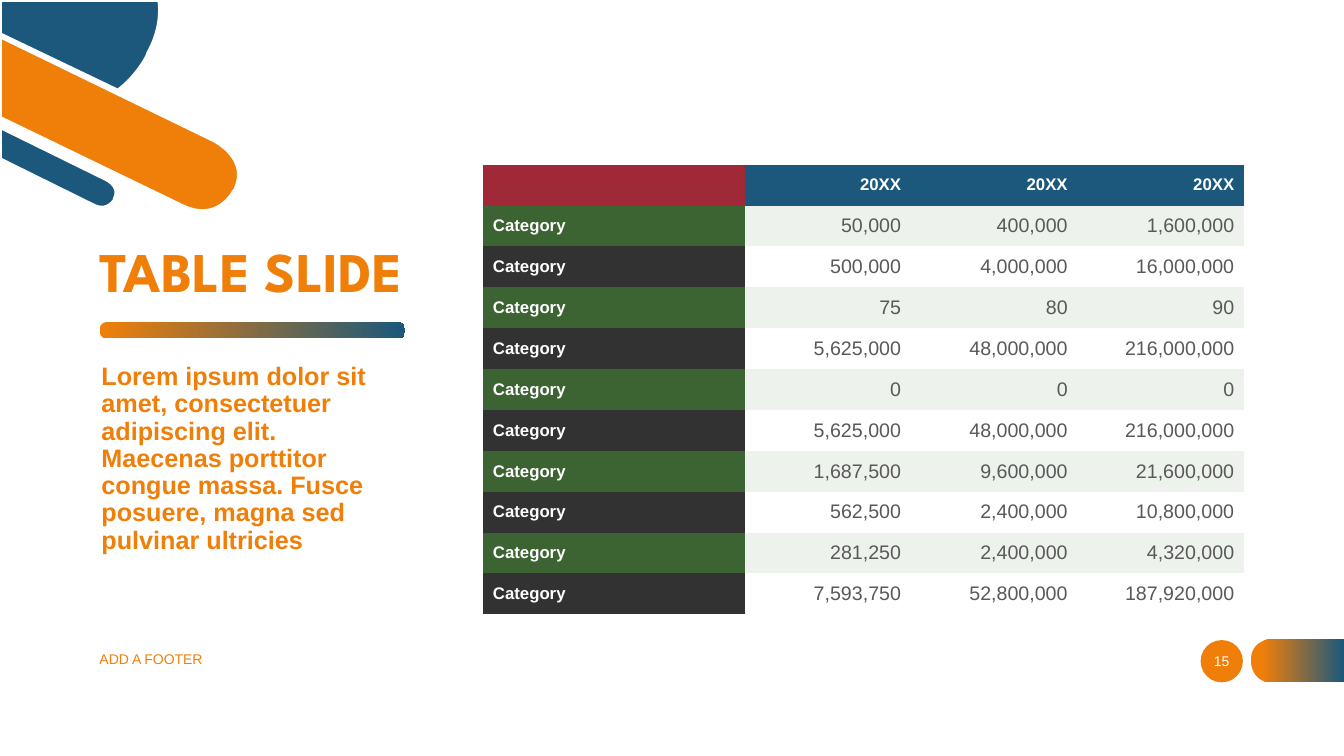
from pptx import Presentation
from pptx.dml.color import RGBColor
from pptx.enum.shapes import MSO_SHAPE as Shape
from pptx.enum.text import MSO_ANCHOR as Anchor, PP_ALIGN as Align
from pptx.oxml.ns import qn
from pptx.util import Pt

ORANGE, BLUE, WHITE = "F07F09", "1B587C", "FFFFFF"
RED, GREEN, CHARCOAL = "9F2936", "3B6432", "323232"
PALE_GREEN, GRAY = "EDF3EC", "595959"
NO_STYLE = "{2D5ABB26-0587-4C30-8999-92F81FD0307C}"
CURVE_STEPS = 16

DISC = [(105.1, 40.3), (105.1, 40.3, 97.9, 54.7, 84.2, 64.8), (0, 24.5), (0, 0),
        (113.8, 0), (115.2, 10.8, 113.8, 23.8, 105.8, 38.2)]
THIN_BAR = [(0, 90.7), (76.3, 128.2), (76.3, 128.2, 86.4, 133.2, 82.1, 141.8),
            (82.1, 142.6), (82.1, 142.6, 77, 151.9, 67, 146.9), (0, 113.8)]
WIDE_BAR = [(0, 25.9), (152.6, 100.1), (152.6, 100.1, 179.3, 113, 167.8, 136.1),
            (167, 136.8), (167, 136.8, 155.5, 159.8, 129.6, 146.9), (0, 84.2)]

YEARS = ["20XX"] * 3
FIGURES = [
    ("50,000", "400,000", "1,600,000"),
    ("500,000", "4,000,000", "16,000,000"),
    ("75", "80", "90"),
    ("5,625,000", "48,000,000", "216,000,000"),
    ("0", "0", "0"),
    ("5,625,000", "48,000,000", "216,000,000"),
    ("1,687,500", "9,600,000", "21,600,000"),
    ("562,500", "2,400,000", "10,800,000"),
    ("281,250", "2,400,000", "4,320,000"),
    ("7,593,750", "52,800,000", "187,920,000"),
]


def color(hex_code):
    """Turn a hex string into a color."""
    return RGBColor.from_string(hex_code)


def paint(shape, fill, line=None):
    """Fill a shape flat and outline it if a line color is given."""
    shape.shadow.inherit = False
    shape.fill.solid()
    shape.fill.fore_color.rgb = color(fill)
    if line:
        shape.line.color.rgb = color(line)
        shape.line.width = Pt(2.75)
    else:
        shape.line.fill.background()


def fade(shape, start=0):
    """Fade a shape from orange on the left to blue on the right."""
    paint(shape, ORANGE)
    shape.fill.gradient()
    shape.fill.gradient_angle = 0
    for stop, hue, position in zip(shape.fill.gradient_stops, (ORANGE, BLUE), (start, 1)):
        stop.color.rgb = color(hue)
        stop.position = position


def flatten(path):
    """Turn line ends and cubic curves into a list of points."""
    points = [path[0]]
    for step in path[1:]:
        if len(step) == 2:
            points.append(step)
            continue
        knots = [points[-1], step[:2], step[2:4], step[4:]]
        for i in range(1, CURVE_STEPS + 1):
            t = i / CURVE_STEPS
            weights = ((1 - t) ** 3, 3 * t * (1 - t) ** 2, 3 * t * t * (1 - t), t ** 3)
            points.append(tuple(sum(w * knot[axis] for w, knot in zip(weights, knots))
                                for axis in (0, 1)))
    return points


def add_outline(slide, left, top, path):
    """Draw a closed path relative to a corner."""
    points = [(Pt(left + x), Pt(top + y)) for x, y in flatten(path)]
    builder = slide.shapes.build_freeform(*points[0])
    builder.add_line_segments(points[1:], close=True)
    return builder.convert_to_shape()


def style(frame, size, hue, bold=False, align=Align.LEFT, font="Arial"):
    """Format the only paragraph of a text frame."""
    paragraph = frame.paragraphs[0]
    paragraph.alignment = align
    for run in paragraph.runs:
        run.font.name, run.font.size, run.font.bold = font, Pt(size), bold
        run.font.color.rgb = color(hue)


def add_text(slide, box, text, size, hue, anchor=Anchor.TOP, spacing=None, **look):
    """Place a wrapped text in a box."""
    frame = slide.shapes.add_textbox(*map(Pt, box)).text_frame
    frame.word_wrap = True
    frame.vertical_anchor = anchor
    frame.text = text
    frame.paragraphs[0].line_spacing = spacing
    style(frame, size, hue, **look)


def add_corner(slide, left, top):
    """Draw the disc and the two slanted bars."""
    for path, fill in ((DISC, BLUE), (THIN_BAR, BLUE), (WIDE_BAR, ORANGE)):
        paint(add_outline(slide, left, top, path), fill, WHITE)


def add_intro(slide, left, top, width):
    """Place the title, the fading rule and the lead text."""
    add_text(slide, (left, top, width, 53.3), "TABLE SLIDE", 40, ORANGE,
             Anchor.BOTTOM, 0.9, bold=True, font="League Spartan")
    rule = slide.shapes.add_shape(Shape.ROUNDED_RECTANGLE, Pt(left + 7.2), Pt(top + 62.5),
                                  Pt(218), Pt(11.5))
    rule.adjustments[0] = 0.4
    fade(rule)
    add_text(slide, (left + 1.4, top + 88.6, 222.5, 145.4),
             "Lorem ipsum dolor sit amet, consectetuer adipiscing elit. "
             "Maecenas porttitor congue massa. Fusce posuere, magna sed pulvinar ultricies",
             18, ORANGE, spacing=0.9, bold=True)


def fill_cell(cell, text, fill, size, hue, bold, align):
    """Write and color one table cell."""
    cell.fill.solid()
    cell.fill.fore_color.rgb = color(fill)
    cell.vertical_anchor = Anchor.MIDDLE
    cell.text = text
    style(cell.text_frame, size, hue, bold, align)


def add_figures(slide, left, top, width, height):
    """Build the table of categories by year."""
    rows = [("", *YEARS)] + [("Category", *values) for values in FIGURES]
    table = slide.shapes.add_table(len(rows), len(rows[0]), Pt(left), Pt(top),
                                   Pt(width), Pt(height)).table
    table._tbl.tblPr.find(qn("a:tableStyleId")).text = NO_STYLE
    year_width = 119
    for c, column in enumerate(table.columns):
        column.width = Pt(year_width if c else width - year_width * len(YEARS))
    for r, row in enumerate(rows):
        table.rows[r].height = Pt(height / len(rows))
        if r == 0:
            label_fill, value_fill = RED, BLUE
        elif r % 2:
            label_fill, value_fill = GREEN, PALE_GREEN
        else:
            label_fill, value_fill = CHARCOAL, WHITE
        for c, text in enumerate(row):
            heading = r == 0 or c == 0
            fill_cell(table.cell(r, c), text, value_fill if c else label_fill,
                      12 if heading else 14, WHITE if heading else GRAY, heading,
                      Align.RIGHT if c else Align.LEFT)


def add_footer(slide, left, top, right):
    """Place the footer text, the page badge and the edge tab."""
    add_text(slide, (left, top, 324, 28.8), "ADD A FOOTER", 10, ORANGE, Anchor.MIDDLE)
    tab_width, tab_height, curve = 66.5, 31, 15.1
    middle = tab_height / 2
    tab = [(curve, tab_height), (tab_width, tab_height), (tab_width, 0), (curve, 0),
           (curve, 0, 0, 0, 0, middle), (0, middle, 0, tab_height, curve, tab_height)]
    fade(add_outline(slide, right - tab_width, top, tab), 0.12)
    badge = slide.shapes.add_shape(Shape.OVAL, Pt(right - 102.4), Pt(top + 0.7),
                                   Pt(30.2), Pt(30.2))
    paint(badge, ORANGE)
    add_text(slide, (right - 109, top + 1.4, 43.2, 28.8), "15", 10, WHITE,
             Anchor.MIDDLE, align=Align.CENTER)


def main():
    """Build and save the table slide."""
    deck = Presentation()
    deck.slide_width, deck.slide_height = Pt(960), Pt(540)
    slide = deck.slides.add_slide(deck.slide_layouts[6])
    add_corner(slide, 0, 0)
    add_intro(slide, 64, 167.8, 268)
    add_figures(slide, 344.9, 117.6, 544, 321.2)
    add_footer(slide, 64, 456.5, 960)
    deck.save("out.pptx")


if __name__ == "__main__":
    main()
